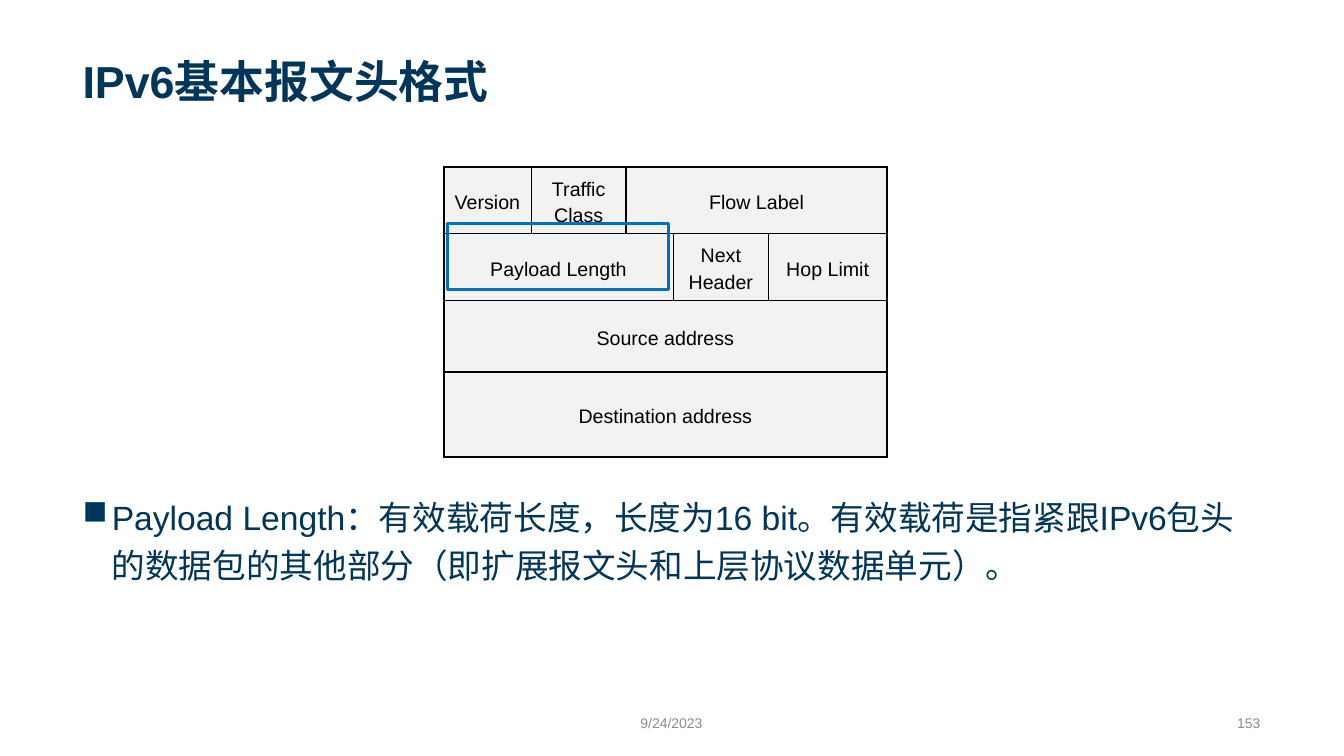
from lxml import etree
from pptx import Presentation
from pptx.dml.color import RGBColor
from pptx.enum import shapes, text
from pptx.oxml.ns import qn
from pptx.util import Inches, Pt

NAVY, GREY, BLACK, CELL, BLUE = "003659", "8C8C8C", "000000", "F2F2F2", "0070C0"


def rgb(value):
    return RGBColor.from_string(value)


def write(frame, words, size, color, align, anchor, bold=False):
    """Put one styled run in the frame and return its paragraph."""
    frame.word_wrap = True
    frame.vertical_anchor = anchor
    paragraph = frame.paragraphs[0]
    paragraph.alignment = align
    paragraph.line_spacing = 1.2
    run = paragraph.add_run()
    run.text = words
    run.font.name = "Arial"
    run.font.size = Pt(size)
    run.font.bold = bold
    run.font.color.rgb = rgb(color)
    return paragraph


prs = Presentation()
prs.slide_width, prs.slide_height = Inches(13.33), Inches(7.5)
slide = prs.slides.add_slide(prs.slide_layouts[6])
LEFT, CENTER, RIGHT = text.PP_ALIGN.LEFT, text.PP_ALIGN.CENTER, text.PP_ALIGN.RIGHT
TOP, MIDDLE, BOTTOM = text.MSO_ANCHOR.TOP, text.MSO_ANCHOR.MIDDLE, text.MSO_ANCHOR.BOTTOM

# Title, explanation, date and page number
explanation = ("Payload Length：有效载荷长度，长度为16 bit。有效载荷是指紧跟IPv6包头的数据包的其他部分"
               "（即扩展报文头和上层协议数据单元）。")
for box, words, size, color, align, anchor in [
    ((0.72, 0.14, 11.88, 0.98), "IPv6基本报文头格式", 32, NAVY, LEFT, BOTTOM),
    ((0.72, 4.8, 11.88, 1.91), explanation, 24, NAVY, LEFT, TOP),
    ((5.16, 7.01, 3, 0.3), "9/24/2023", 10, GREY, CENTER, MIDDLE),
    ((8.5, 7.01, 4.1, 0.3), "153", 10, GREY, RIGHT, MIDDLE),
]:
    frame = slide.shapes.add_textbox(*map(Inches, box)).text_frame
    paragraph = write(frame, words, size, color, align, anchor, bold=size == 32)
    if words == explanation:
        properties = paragraph._p.get_or_add_pPr()
        properties.set("marL", str(Inches(0.29)))
        properties.set("indent", str(-Inches(0.29)))
        etree.SubElement(properties, qn("a:buChar"), char="■")

# Header fields: (name, number of columns) for each row
header_rows = [
    [("Version", 1), ("Traffic Class", 1), ("Flow Label", 3)],
    [("Payload Length", 3), ("Next Header", 1), ("Hop Limit", 1)],
    [("Source address", 5)],
    [("Destination address", 5)],
]
widths = [0.87, 0.94, 0.47, 0.94, 1.18]
heights = [0.57, 0.64, 0.71, 0.84]
last_row, last_column = len(heights) - 1, len(widths) - 1
header = slide.shapes.add_table(len(heights), len(widths), Inches(4.4), Inches(1.66),
                                Inches(sum(widths)), Inches(sum(heights))).table
for column, width in zip(header.columns, widths):
    column.width = Inches(width)
for row, height in zip(header.rows, heights):
    row.height = Inches(height)

for r, fields in enumerate(header_rows):
    start = 0
    for name, span in fields:
        end = start + span - 1
        field = header.cell(r, start)
        if span > 1:
            field.merge(header.cell(r, end))
        write(field.text_frame, name, 14, BLACK, CENTER, MIDDLE)
        field.vertical_anchor = MIDDLE
        outer_edges = [("a:lnL", start == 0), ("a:lnR", end == last_column),
                       ("a:lnT", r == 0), ("a:lnB", r == last_row)]
        for c in range(start, end + 1):
            cell = header.cell(r, c)
            cell.fill.solid()
            cell.fill.fore_color.rgb = rgb(CELL)
            for place, (tag, outer) in enumerate(outer_edges):
                edge = etree.Element(qn(tag), w=str(Pt(1.5 if outer else 1)))
                paint = etree.SubElement(edge, qn("a:solidFill"))
                etree.SubElement(paint, qn("a:srgbClr"), val=BLACK)
                cell._tc.get_or_add_tcPr().insert(place, edge)
        start = end + 1

# Frame around the field being explained
highlight = slide.shapes.add_shape(shapes.MSO_SHAPE.FLOWCHART_PROCESS, Inches(4.44),
                                   Inches(2.22), Inches(2.19), Inches(0.65))
highlight.shadow.inherit = False
highlight.fill.background()
highlight.line.color.rgb = rgb(BLUE)
highlight.line.width = Pt(2.25)

prs.save("out.pptx")
